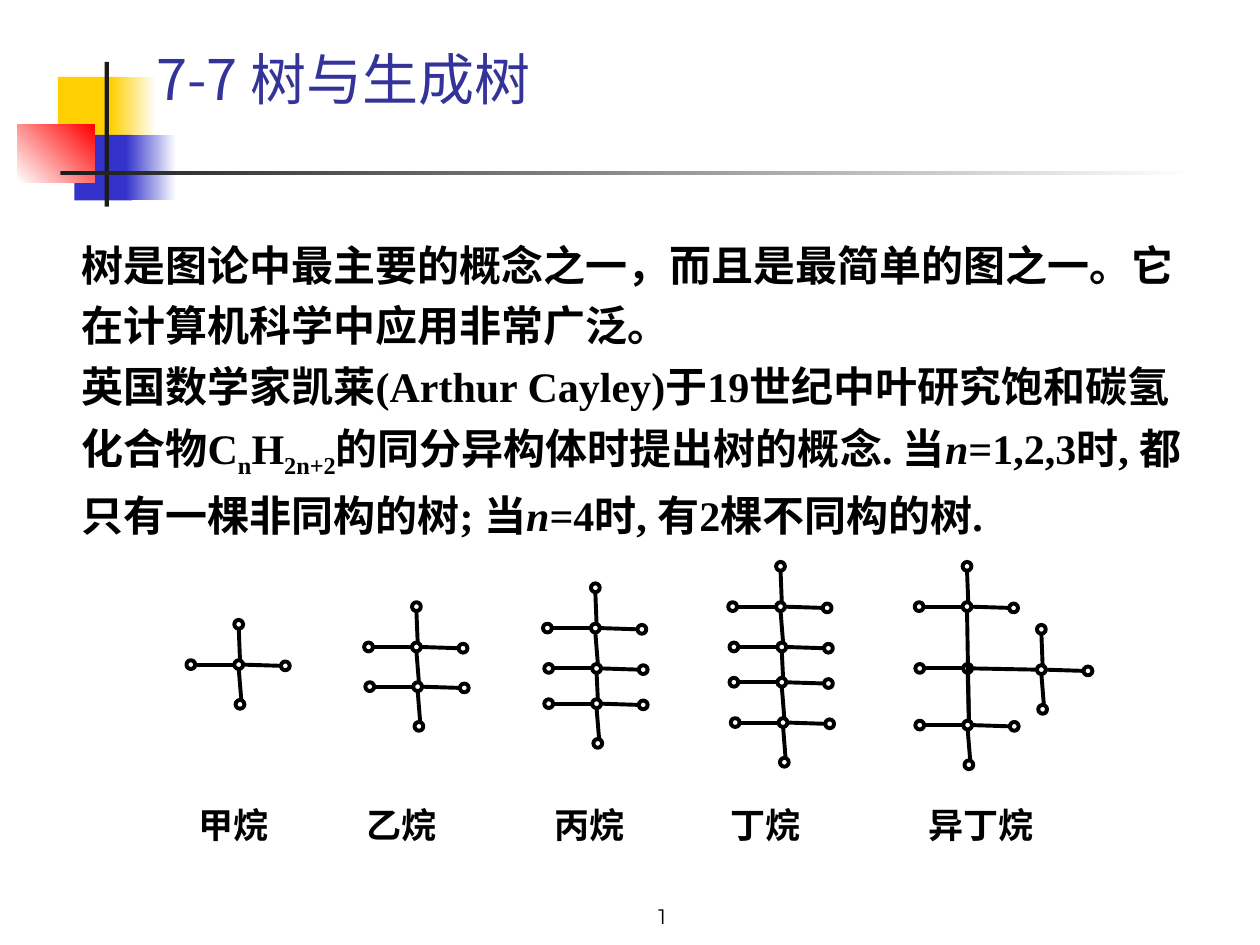
from dataclasses import dataclass
from lxml.etree import SubElement
from pptx import Presentation
from pptx.dml.color import RGBColor
from pptx.enum.shapes import MSO_CONNECTOR, MSO_SHAPE
from pptx.enum.text import MSO_ANCHOR, PP_ALIGN
from pptx.oxml.ns import qn
from pptx.util import Inches, Pt


@dataclass(frozen=True)
class Theme:
    black: str = "000000"
    white: str = "FFFFFF"
    gold: str = "FFCF01"
    blue: str = "3333CC"
    red: str = "FF0000"
    dark: str = "1C1C1C"
    navy: str = "333399"
    serif: str = "Times New Roman"
    sans: str = "Noto Sans CJK SC"
    page: str = "Montserrat"
    head: int = 32
    body: int = 24
    label: int = 20
    foot: int = 12
    stroke: float = 2.25


T = Theme()
COLS, ROWS = 100, 75
WIDE, HIGH = Inches(10), Inches(7.5)
DOT = 0.7
ARMS = {"L": (-3.8, 0), "R": (3.7, 0.1), "T": (0, -3.2), "B": (0.1, 3.15)}


def across(n):
    return round(WIDE * n / COLS)


def down(n):
    return round(HIGH * n / ROWS)


def place(box):
    x, y, w, h = box
    return across(x), down(y), across(w), down(h)


def write(slide, box, paras, font=T.serif, size=T.body, color=T.black,
          bold=False, align=PP_ALIGN.LEFT, anchor=MSO_ANCHOR.TOP, lead=None):
    frame = slide.shapes.add_textbox(*place(box)).text_frame
    frame.word_wrap = True
    frame.vertical_anchor = anchor
    for i, runs in enumerate(paras):
        para = frame.add_paragraph() if i else frame.paragraphs[0]
        para.alignment = align
        if lead:
            para.line_spacing = lead
        for text, kind in runs:
            run = para.add_run()
            run.text = text
            face = run.font
            face.name, face.size, face.bold = font, Pt(size), bold
            face.color.rgb = RGBColor.from_string(color)
            face.italic = kind == "italic"
            props = run._r.get_or_add_rPr()
            if kind == "sub":
                props.set("baseline", "-25000")
            SubElement(props, qn("a:ea")).set("typeface", T.sans)


def block(slide, box, start, end=None, angle=0, kind=MSO_SHAPE.RECTANGLE):
    shape = slide.shapes.add_shape(kind, *place(box))
    shape.shadow.inherit = False
    shape.line.fill.background()
    if end:
        shape.fill.gradient()
        shape.fill.gradient_angle = angle
        for stop, color, spot in zip(shape.fill.gradient_stops, (start, end), (0, 1)):
            stop.color.rgb = RGBColor.from_string(color)
            stop.position = spot
    else:
        shape.fill.solid()
        shape.fill.fore_color.rgb = RGBColor.from_string(start)
    return shape


def ink(line):
    line.color.rgb = RGBColor.from_string(T.black)
    line.width = Pt(T.stroke)


def node(slide, spot):
    x, y = spot
    box = (x - DOT / 2, y - DOT / 2, DOT, DOT)
    ink(block(slide, box, T.white, kind=MSO_SHAPE.OVAL).line)


def bond(slide, first, last):
    (ax, ay), (bx, by) = sorted((first, last), key=sum)
    gap = DOT / 2
    if by - ay > bx - ax:
        ends = ax, ay + gap, bx + 0.1, by - gap
    else:
        ends = ax + gap, ay, bx - gap + 0.1, by
    x, y, right, base = ends
    line = slide.shapes.add_connector(
        MSO_CONNECTOR.STRAIGHT, across(x), down(y), across(right), down(base))
    ink(line.line)
    SubElement(line._element.spPr, qn("a:effectLst"))


def tree(slide, box, name, atoms):
    x, y, w, h = box
    spots, bonds, last = [], [], None
    for dx, dy, arms in atoms:
        core = (x + dx, y + dy)
        spots.append(core)
        if last:
            bonds.append((last, core))
        for arm in arms:
            ax, ay = ARMS[arm]
            tip = (core[0] + ax, core[1] + ay)
            spots.append(tip)
            bonds.append((core, tip))
        last = core
    for spot in spots:
        node(slide, spot)
    for first, end in bonds:
        bond(slide, first, end)
    write(slide, (x, 63.3, w, h), [[(name, "")]], size=T.label, bold=True,
          align=PP_ALIGN.JUSTIFY)


def trees(slide, box):
    left, top, _, _ = box
    items = [
        (0, 4.6, 10.2, "甲烷", [(4.15, 0, "LTRB")]),
        (13.3, 3.2, 10.2, "乙烷", [(4.95, 0, "LTR"), (5.05, 3.15, "LRB")]),
        (28.2, 1.7, 10.2, "丙烷",
         [(4.25, 0, "LTR"), (4.35, 3.2, "LR"), (4.35, 6, "LRB")]),
        (42.2, 0, 10.2, "丁烷",
         [(4.95, 0, "LTR"), (5.05, 3.2, "LR"), (5.05, 6, "LR"), (5.15, 9.2, "LRB")]),
        (57.9, 0, 11.7, "异丁烷",
         [(4.05, 0, "LTR"), (4.1, 9.4, "LRB"), (4.1, 4.9, "L"), (9.95, 5, "TRB")]),
    ]
    for x, y, w, name, atoms in items:
        tree(slide, (left + x, top + y, w, 4.7), name, atoms)


def mark(slide, box):
    x, y, _, _ = box
    parts = [
        (3.2, 1.2, 4.8, 5.2, T.gold),
        (7.4, 1.2, 3.6, 5.2, T.gold, T.white),
        (4.5, 5.8, 4.6, 5.2, T.blue),
        (8.6, 5.8, 4, 5.2, T.blue, T.white),
        (0, 5, 6.1, 4.6, T.white, T.red, 45),
        (6.9, 0, 0.35, 11.5, T.dark),
        (3.4, 8.7, 90, 0.3, T.dark, T.white),
    ]
    for dx, dy, w, h, *fill in parts:
        block(slide, (x + dx, y + dy, w, h), *fill)


def title(slide, box):
    write(slide, box, [[("7-7 树与生成树", "")]], font=T.sans, size=T.head,
          color=T.navy, anchor=MSO_ANCHOR.BOTTOM)


def prose(slide, box):
    write(slide, box, [
        [("树是图论中最主要的概念之一，而且是最简单的图之一。它在计算机科学中应用非常广泛。", "")],
        [("英国数学家凯莱(Arthur Cayley)于19世纪中叶研究饱和碳氢化合物C", ""),
         ("n", "sub"), ("H", ""), ("2n+2", "sub"),
         ("的同分异构体时提出树的概念. 当", ""), ("n", "italic"),
         ("=1,2,3时, 都只有一棵非同构的树; 当", ""), ("n", "italic"),
         ("=4时, 有2棵不同构的树.", "")],
    ], bold=True, lead=1.2)


def foot(slide, box):
    write(slide, box, [[("1", "")]], font=T.page, size=T.foot,
          align=PP_ALIGN.CENTER, anchor=MSO_ANCHOR.BOTTOM)


def main():
    deck = Presentation()
    deck.slide_width, deck.slide_height = WIDE, HIGH
    slide = deck.slides.add_slide(deck.slide_layouts[6])
    mark(slide, (1.4, 4.9, 93.4, 11.5))
    prose(slide, (5.5, 17.7, 90, 42.5))
    foot(slide, (36.7, 69.2, 31.7, 5))
    trees(slide, (14.8, 48.15, 72, 20))
    title(slide, (11.4, 2.8, 85.8, 6.6))
    deck.save("out.pptx")


if __name__ == "__main__":
    main()
